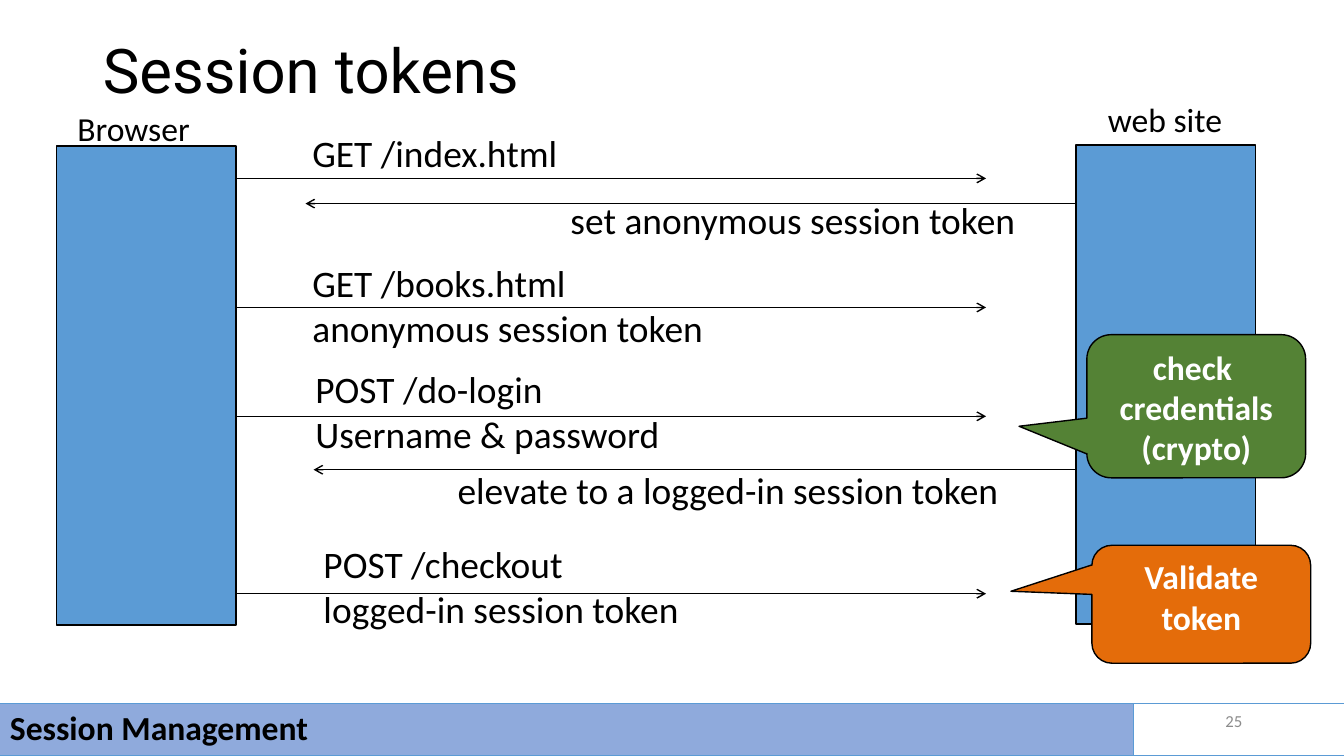
from lxml import etree
from pptx import Presentation
from pptx.dml.color import RGBColor
from pptx.enum.shapes import MSO_CONNECTOR as Connector, MSO_SHAPE as Shape
from pptx.enum.text import MSO_ANCHOR as Anchor, MSO_AUTO_SIZE as AutoSize, PP_ALIGN as Align
from pptx.oxml.ns import qn
from pptx.util import Inches, Pt

BLACK = RGBColor(0x00, 0x00, 0x00)
WHITE = RGBColor(0xFF, 0xFF, 0xFF)
BLUE = RGBColor(0x5B, 0x9B, 0xD5)
FOOTER_BLUE = RGBColor(0x8F, 0xAA, 0xDC)
GREEN = RGBColor(0x54, 0x82, 0x35)
ORANGE = RGBColor(0xE4, 0x6C, 0x0A)
GREY = RGBColor(0x8C, 0x8C, 0x8C)

BROWSER_EDGE, SITE_EDGE, REQUEST_END = 2.33, 10.67, 9.78
REQUESTS = [
    (1.77, (3, 1.24, 2.65, 0.55), ["GET /index.html"]),
    (3.05, (3, 2.53, 4.1, 1), ["GET /books.html", "anonymous session token"]),
    (4.13, (3.03, 3.58, 3.63, 1), ["POST /do-login", "Username & password"]),
    (5.89, (3.11, 5.32, 3.75, 1), ["POST /checkout", "logged-in session token"]),
]
RESPONSES = [
    (2.02, 3.03, (5.56, 1.91, 4.64, 0.55), ["set anonymous session token"]),
    (4.66, 3.11, (4.44, 4.58, 5.6, 0.55), ["elevate to a logged-in session token"]),
]
CALLOUTS = [
    ((10.78, 3.32, 2.17, 1.42), GREEN, (-0.81, 0.14, 0.17), ["check \vcredentials", "(crypto)"]),
    ((10.83, 5.41, 2.17, 1.17), ORANGE, (-0.87, -0.11, 0.17), ["Validate", "token"]),
]


class SlidePainter:
    """Draws styled elements on the current slide."""

    font = {"name": "Calibri", "size": Pt(24), "bold": False}

    def __init__(self, page):
        self.page = page

    def fill_text(self, box, lines, color=BLACK, align=Align.LEFT, anchor=Anchor.TOP,
                  wrap=False, spacing=None, **font):
        frame = box.text_frame
        frame.word_wrap = wrap
        frame.vertical_anchor = anchor
        frame.text = "\n".join(lines)
        for para in frame.paragraphs:
            para.alignment = align
            para.line_spacing = spacing
            for span in para.runs:
                for key, value in {**self.font, **font}.items():
                    setattr(span.font, key, value)
                span.font.color.rgb = color

    def title(self, place, text):
        box = self.page.shapes.title
        for key, value in zip(("left", "top", "width", "height"), place):
            setattr(box, key, Inches(value))
        self.fill_text(box, [text], anchor=Anchor.MIDDLE, wrap=True, spacing=0.9,
                       name="Roboto", size=Pt(44))

    def label(self, place, lines, **style):
        box = self.page.shapes.add_textbox(*map(Inches, place))
        self.fill_text(box, lines, **style)
        box.text_frame.auto_size = AutoSize.NONE if style.get("wrap") else AutoSize.SHAPE_TO_FIT_TEXT

    def block(self, place, fill, line=BLACK, weight=1, kind=Shape.RECTANGLE):
        box = self.page.shapes.add_shape(kind, *map(Inches, place))
        box.shadow.inherit = False
        if fill is None:
            box.fill.background()
        else:
            box.fill.solid()
            box.fill.fore_color.rgb = fill
        box.line.color.rgb = line
        box.line.width = Pt(weight)
        return box

    def callout(self, place, fill, adjustments, lines):
        box = self.block(place, fill, kind=Shape.ROUNDED_RECTANGULAR_CALLOUT)
        for index, value in enumerate(adjustments):
            box.adjustments[index] = value
        self.fill_text(box, lines, color=WHITE, align=Align.CENTER, bold=True)

    def arrow(self, start, end, y):
        arrow = self.page.shapes.add_connector(
            Connector.STRAIGHT, Inches(start), Inches(y), Inches(end), Inches(y))
        arrow.line.color.rgb = BLACK
        arrow.line.width = Pt(1)
        properties = arrow._element.spPr
        etree.SubElement(properties.find(qn("a:ln")), qn("a:tailEnd"), type="arrow")
        etree.SubElement(properties, qn("a:effectLst"))


def main():
    deck = Presentation()
    deck.slide_width, deck.slide_height = Inches(13.33), Inches(7.5)
    painter = SlidePainter(deck.slides.add_slide(deck.slide_layouts[5]))

    painter.title((0.92, 0, 11.5, 1.45), "Session tokens")
    painter.block((0.56, 1.45, 1.78, 4.75), BLUE)
    painter.label((0.67, 1.02, 1.33, 0.5), ["Browser"])
    painter.block((SITE_EDGE, 1.44, 1.78, 4.75), BLUE)
    painter.label((10.89, 0.93, 1.35, 0.5), ["web site"])

    for y, place, lines in REQUESTS:
        painter.arrow(BROWSER_EDGE, REQUEST_END, y)
        painter.label(place, lines, size=Pt(26.7))
    for y, end, place, lines in RESPONSES:
        painter.arrow(SITE_EDGE, end, y)
        painter.label(place, lines, size=Pt(26.7))
    for callout in CALLOUTS:
        painter.callout(*callout)

    footer = painter.block((0, 6.98, 11.24, 0.52), FOOTER_BLUE, BLUE, 0.75)
    painter.fill_text(footer, ["Session Management"], anchor=Anchor.MIDDLE, wrap=True,
                      spacing=0.9, bold=True)
    painter.block((11.24, 6.98, 2.1, 0.52), None, BLUE, 0.75)
    painter.label((9.42, 6.95, 3, 0.4), ["25"], color=GREY, align=Align.RIGHT,
                  anchor=Anchor.MIDDLE, wrap=True, size=Pt(12))
    deck.save("out.pptx")


if __name__ == "__main__":
    main()
